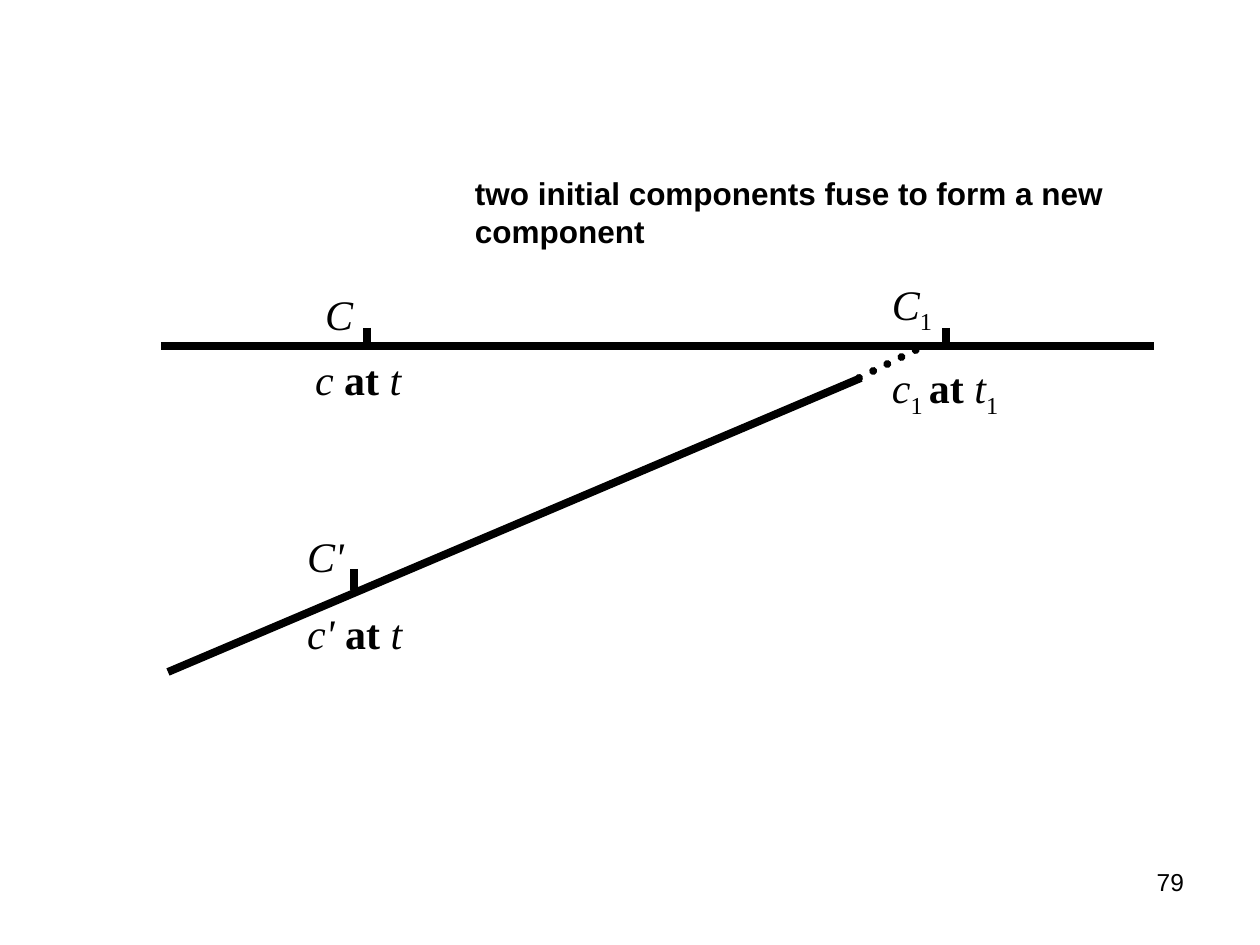
from lxml import etree
from pptx import Presentation
from pptx import util as u
from pptx.dml.color import RGBColor
from pptx.enum import dml, shapes, text
from pptx.oxml.ns import qn

PX = 914400 // 126
COLORS = {"ink": "000000"}
SERIF, SANS = "Times New Roman", "Arial"

# Content: runs are (text, style), styles are i(talic), b(old), s(ubscript)
TITLE = [[("two initial components fuse to form a new component", "b")]]
PAGE = [[("79", "")]]
LABELS = [
    dict(box=(305, 284, 134, 141), inset=(10, 5), after=8, first_indent=10,
         paragraphs=[[("C", "i")],
                     [("c ", "i"), ("at ", "b"), ("t", "i")]]),
    dict(box=(882, 273, 151, 169), inset=(10, 5), after=15,
         paragraphs=[[("C", "i"), ("1", "s")],
                     [("c", "i"), ("1 ", "s"), ("at ", "b"), ("t", "i"), ("1", "s")]]),
    dict(box=(294, 525, 210, 140), after=15,
         paragraphs=[[("C'", "i")],
                     [("c' ", "i"), ("at ", "b"), ("t", "i")]]),
]

# Geometry: time lines, the fusing stretch and the time marks
TIME_LINES = [(161, 346, 1154, 346), (168, 672, 861, 378)]
FUSION = (859, 378, 924, 346)
MARKS = [(367, 328), (946, 328), (354, 569)]
MARK_HEIGHT = 21


def px(n):
    return u.Emu(n * PX)


def add_text(paragraphs, box, size=24, font=SERIF, inset=(13, 6), after=0,
             first_indent=0, align=text.PP_ALIGN.LEFT):
    frame = slide.shapes.add_textbox(*map(px, box)).text_frame
    frame.word_wrap = True
    frame.margin_left = frame.margin_right = px(inset[0])
    frame.margin_top = frame.margin_bottom = px(inset[1])
    for n, runs in enumerate(paragraphs):
        paragraph = frame.add_paragraph() if n else frame.paragraphs[0]
        paragraph.alignment = align
        paragraph.space_after = u.Pt(after)
        if n == 0 and first_indent:
            paragraph._p.get_or_add_pPr().set("marL", str(px(first_indent)))
        for words, style in runs:
            run = paragraph.add_run()
            run.text = words
            run.font.name, run.font.size = font, u.Pt(size)
            run.font.bold, run.font.italic = "b" in style, "i" in style
            run.font.color.rgb = RGBColor.from_string(COLORS["ink"])
            if "s" in style:
                run._r.get_or_add_rPr().set("baseline", "-25000")


def add_line(ends, dotted=False):
    line = slide.shapes.add_connector(shapes.MSO_CONNECTOR.STRAIGHT, *map(px, ends))
    line.line.color.rgb = RGBColor.from_string(COLORS["ink"])
    line.line.width = u.Pt(4.5)
    if dotted:
        line.line.dash_style = dml.MSO_LINE.ROUND_DOT
        line.line._get_or_add_ln().set("cap", "rnd")
    etree.SubElement(line._element.spPr, qn("a:effectLst"))


prs = Presentation()
prs.slide_width, prs.slide_height = px(1260), px(945)
slide = prs.slides.add_slide(prs.slide_layouts[6])

add_text(TITLE, (462, 168, 766, 130), size=18, font=SANS)

# Time lines and marks
for ends in TIME_LINES:
    add_line(ends)
add_line(FUSION, dotted=True)
for x, top in MARKS:
    add_line((x, top, x, top + MARK_HEIGHT))

# Labels and page number
for label in LABELS:
    add_text(**label)
add_text(PAGE, (903, 861, 294, 66), size=14, font=SANS, align=text.PP_ALIGN.RIGHT)

prs.save("out.pptx")
